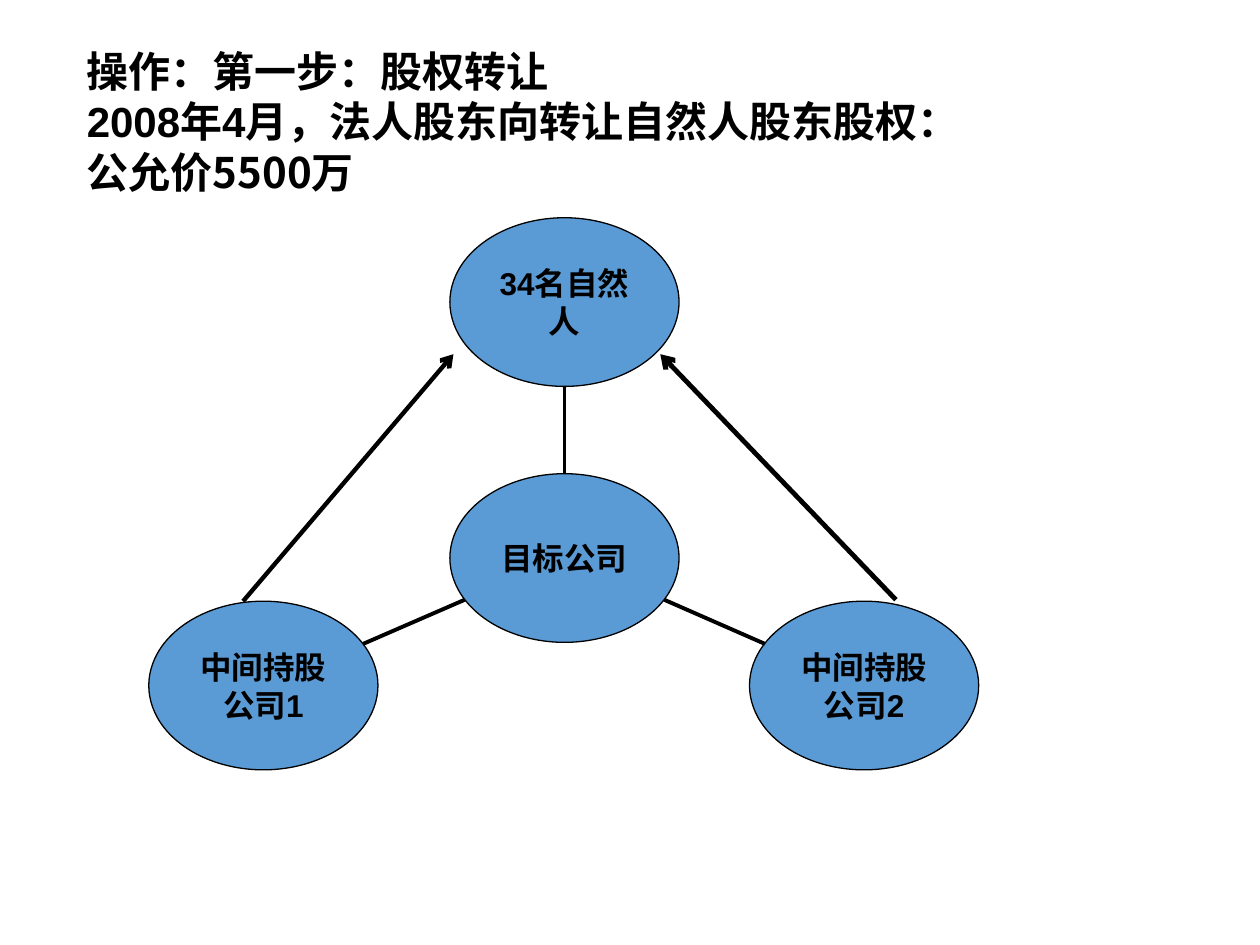
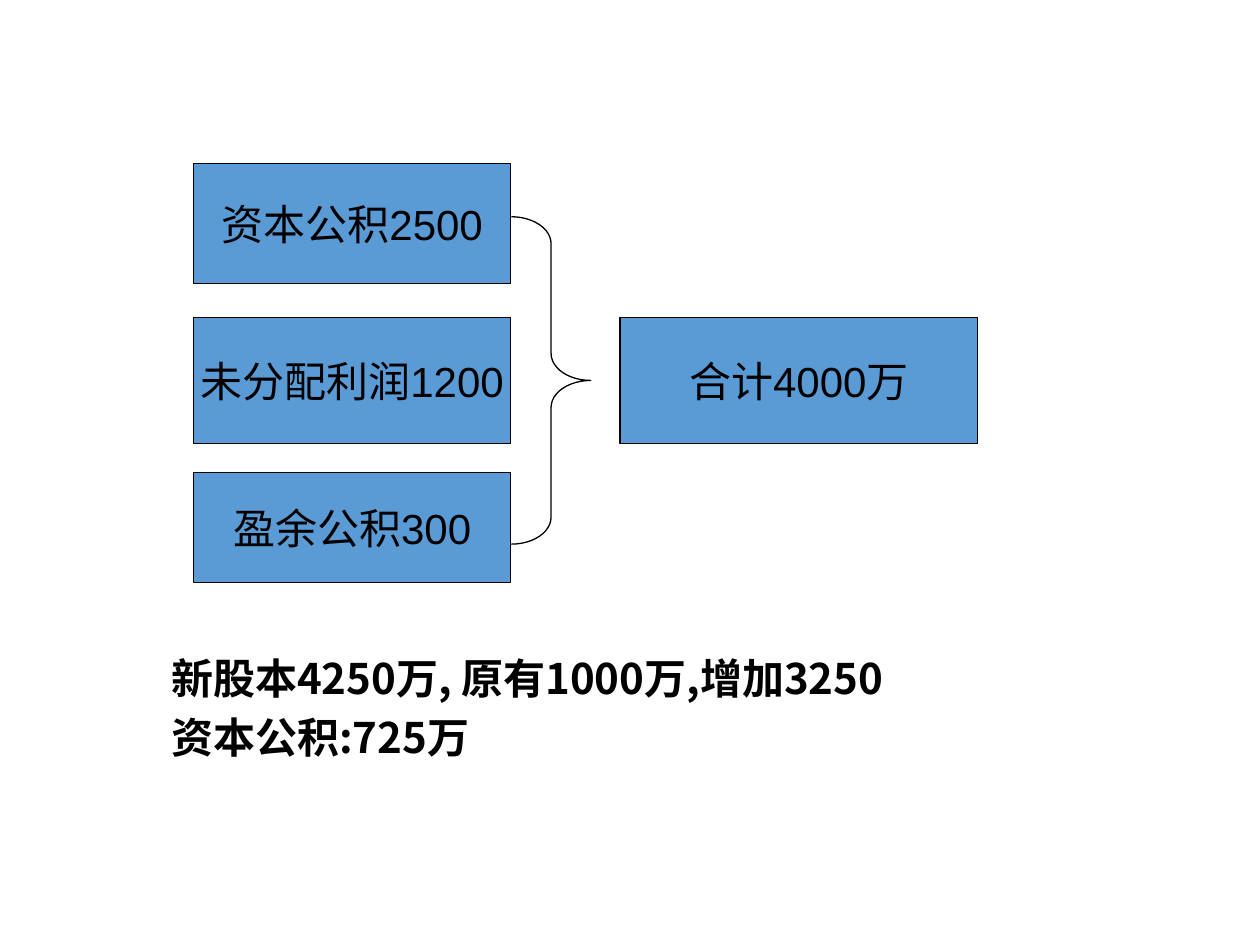
from lxml import etree
from pptx import Presentation
from pptx.dml.color import RGBColor
from pptx.enum.shapes import MSO_CONNECTOR, MSO_SHAPE as SHAPE
from pptx.enum.text import MSO_ANCHOR, PP_ALIGN
from pptx.oxml.ns import qn
from pptx.util import Cm, Pt

BLACK = RGBColor(0x00, 0x00, 0x00)
BLUE = RGBColor(0x5B, 0x9B, 0xD5)
LATIN, CJK = "Arial", "Noto Sans CJK SC"


def write(tf, lines, size, bold=False, font=LATIN, align=PP_ALIGN.LEFT, wrap=True):
    """Fill a text frame, one paragraph per line, in one style."""
    tf.word_wrap = wrap
    tf.vertical_anchor = MSO_ANCHOR.MIDDLE
    for i, line in enumerate(lines):
        p = tf.paragraphs[0] if i == 0 else tf.add_paragraph()
        p.alignment = align
        p.font.size, p.font.bold, p.font.name = Pt(size), bold, font
        p.font.color.rgb = BLACK
        style = p._p.pPr.find(qn("a:defRPr"))
        etree.SubElement(style, qn("a:ea"), typeface=CJK)
        for text, run_font in line:
            r = p.add_run()
            r.text = text
            if run_font:
                r.font.name = run_font


def add_box(slide, kind, left, top, width, height, text, size, bold, wrap):
    """Add a blue, black-edged shape with centred text."""
    sp = slide.shapes.add_shape(kind, Cm(left), Cm(top), Cm(width), Cm(height))
    sp.shadow.inherit = False
    sp.fill.solid()
    sp.fill.fore_color.rgb = BLUE
    sp.line.color.rgb = BLACK
    sp.line.width = Pt(0.75)
    write(sp.text_frame, [[(text, None)]], size, bold, align=PP_ALIGN.CENTER, wrap=wrap)


prs = Presentation()
prs.slide_width, prs.slide_height = Cm(25.4), Cm(19.05)
blank = prs.slide_layouts[6]

# Slide 1: share transfer
s = prs.slides.add_slide(blank)

# Company and shareholder ellipses
for left, top, name in [
    (9.07, 9.55, "目标公司"),
    (9.07, 4.39, "34名自然人"),
    (3, 12.12, "中间持股公司1"),
    (15.11, 12.12, "中间持股公司2"),
]:
    add_box(s, SHAPE.OVAL, left, top, 4.62, 3.4, name, 18, True, True)

# Holding lines, then transfer arrows
for x1, y1, x2, y2, weight, arrow in [
    (11.38, 9.55, 11.38, 7.8, 2.25, False),
    (9.37, 12.09, 7.32, 12.98, 2.25, False),
    (13.39, 12.09, 15.42, 12.98, 2.25, False),
    (4.9, 12.12, 9.14, 7.14, 2.5, True),
    (18.06, 12.09, 13.31, 7.14, 2.75, True),
]:
    line = s.shapes.add_connector(MSO_CONNECTOR.STRAIGHT, Cm(x1), Cm(y1), Cm(x2), Cm(y2))
    line.line.color.rgb = BLACK
    line.line.width = Pt(weight)
    if arrow:
        etree.SubElement(line.line._get_or_add_ln(), qn("a:tailEnd"), type="arrow")
    etree.SubElement(line._element.spPr, qn("a:effectLst"))

# Title
tb = s.shapes.add_textbox(Cm(1.5), Cm(0.79), Cm(19.74), Cm(3.3))
write(tb.text_frame, [
    [("操作：第一步：股权转让", None)],
    [("2008年4月，", None), ("法人股东向", CJK), ("转让自然人股东", None), ("股权：", CJK)],
    [("公允价5500万", CJK)],
], 24, bold=True)

# Slide 2: reserves converted to share capital
s = prs.slides.add_slide(blank)

# New share capital
tb = s.shapes.add_textbox(Cm(3.2), Cm(12.32), Cm(17.91), Cm(4.01))
write(tb.text_frame, [
    [("新股本4250万, 原有1000万,增加3250", None)],
    [("资本公积:725万", None)],
], 24, bold=True, font=CJK)
for p in tb.text_frame.paragraphs:
    p.line_spacing = 0.9
    p.space_before = Pt(7.5)

# Reserves and their total
for left, top, width, height, text in [
    (3.9, 3.3, 6.4, 2.41, "资本公积2500"),
    (3.9, 9.53, 6.4, 2.21, "盈余公积300"),
    (3.9, 6.4, 6.4, 2.54, "未分配利润1200"),
    (12.5, 6.4, 7.21, 2.54, "合计4000万"),
]:
    add_box(s, SHAPE.RECTANGLE, left, top, width, height, text, 24, False, False)

# Brace joining the reserves
brace = s.shapes.add_shape(SHAPE.RIGHT_BRACE, Cm(10.31), Cm(4.37), Cm(1.6), Cm(6.6))
brace.shadow.inherit = False
brace.adjustments[0] = 0.34
brace.fill.background()
brace.line.color.rgb = BLACK
brace.line.width = Pt(0.75)

prs.save("out.pptx")
